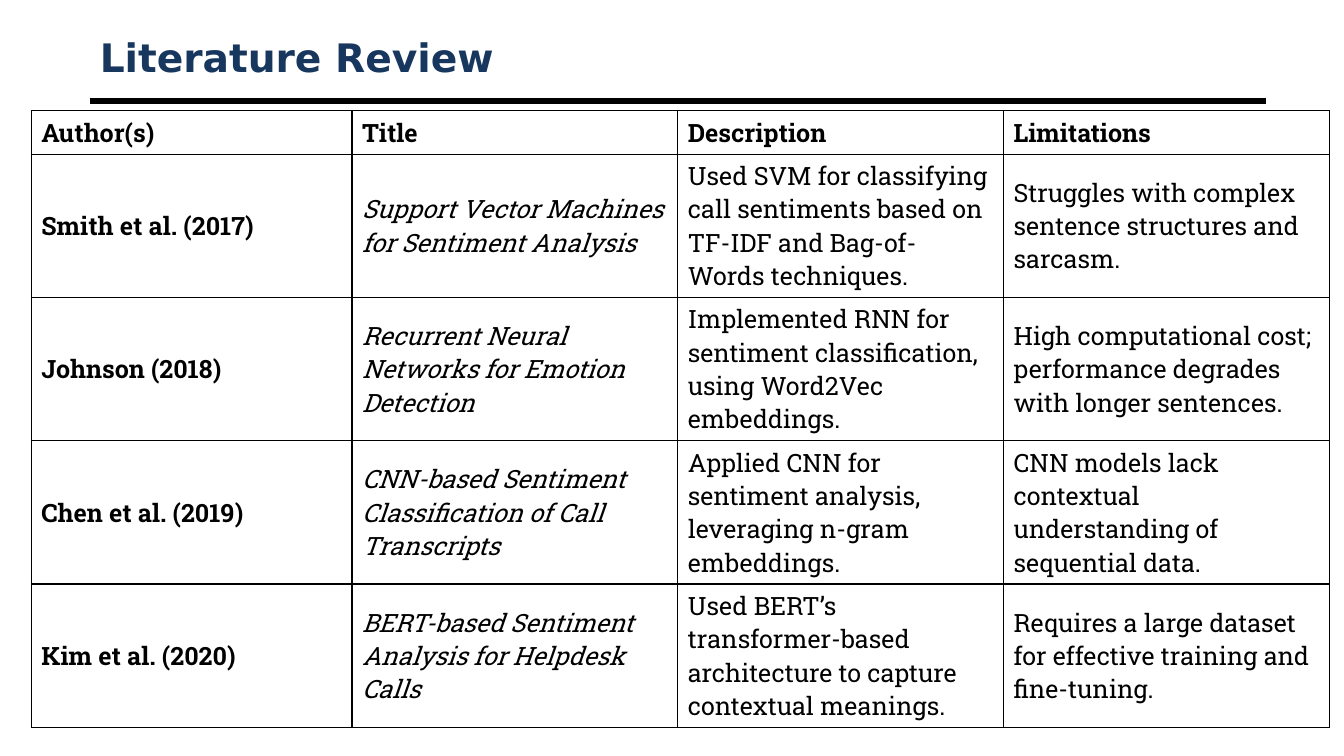
from lxml.etree import SubElement
from pptx import Presentation
from pptx.dml.color import RGBColor
from pptx.enum.shapes import MSO_CONNECTOR as Connector
from pptx.enum.text import MSO_ANCHOR as Anchor, MSO_AUTO_SIZE as AutoSize, PP_ALIGN as Align
from pptx.oxml.ns import qn
from pptx.util import Cm, Pt

NAVY = RGBColor(0x17, 0x37, 0x5E)
BLACK = RGBColor(0, 0, 0)

HEADINGS = ("Author(s)", "Title", "Description", "Limitations")
STUDIES = [
    ("Smith et al. (2017)",
     "Support Vector Machines for Sentiment Analysis",
     "Used SVM for classifying call sentiments based on TF-IDF and Bag-of-Words techniques.",
     "Struggles with complex sentence structures and sarcasm."),
    ("Johnson (2018)",
     "Recurrent Neural Networks for Emotion Detection",
     "Implemented RNN for sentiment classification, using Word2Vec embeddings.",
     "High computational cost; performance degrades with longer sentences."),
    ("Chen et al. (2019)",
     "CNN-based Sentiment Classification of Call Transcripts",
     "Applied CNN for sentiment analysis, leveraging n-gram embeddings.",
     "CNN models lack contextual understanding of sequential data."),
    ("Kim et al. (2020)",
     "BERT-based Sentiment Analysis for Helpdesk Calls",
     "Used BERT’s transformer-based architecture to capture contextual meanings.",
     "Requires a large dataset for effective training and fine-tuning."),
]
COLUMN_WIDTHS = (8.08, 8.21, 8.21, 8.21)
ROW_HEIGHTS = (1.09, 3.61, 3.61, 3.61, 3.61)


def set_font(font, name, size, color, bold=False, italic=False):
    font.name, font.size = name, Pt(size)
    font.bold, font.italic = bold, italic
    font.color.rgb = color


def outline_cell(cell):
    properties = cell._tc.get_or_add_tcPr()
    for position, side in enumerate(("a:lnL", "a:lnR", "a:lnT", "a:lnB")):
        border = SubElement(properties, qn(side), w=str(Pt(1)))
        fill = SubElement(border, qn("a:solidFill"))
        SubElement(fill, qn("a:srgbClr"), val=str(BLACK))
        properties.insert(position, border)


deck = Presentation()
deck.slide_width, deck.slide_height = Cm(33.87), Cm(19.05)
page = deck.slides.add_slide(deck.slide_layouts[5])

# Title
title = page.shapes.title
title.left, title.top, title.width, title.height = Cm(2.26), Cm(0.76), Cm(29.64), Cm(1.35)
title.text_frame.text = "Literature Review"
title.text_frame.auto_size = AutoSize.NONE
title.text_frame.vertical_anchor = Anchor.MIDDLE
para = title.text_frame.paragraphs[0]
para.alignment = Align.LEFT
set_font(para.font, "DejaVu Sans", 28, NAVY, bold=True)

# Rule under the title
rule = page.shapes.add_connector(Connector.STRAIGHT, Cm(2.26), Cm(2.54), Cm(31.9), Cm(2.54))
rule.line.color.rgb = BLACK
rule.line.width = Pt(4.5)
SubElement(rule._element.spPr, qn("a:effectLst"))

# Table of studies
rows = [HEADINGS, *STUDIES]
table = page.shapes.add_table(
    len(rows), len(HEADINGS), Cm(0.79), Cm(2.79),
    Cm(sum(COLUMN_WIDTHS)), Cm(sum(ROW_HEIGHTS))).table
for column, width in zip(table.columns, COLUMN_WIDTHS):
    column.width = Cm(width)
for row, height in zip(table.rows, ROW_HEIGHTS):
    row.height = Cm(height)

for r, texts in enumerate(rows):
    for c, text in enumerate(texts):
        cell = table.cell(r, c)
        cell.text = text
        cell.vertical_anchor = Anchor.MIDDLE
        cell.fill.background()
        outline_cell(cell)
        set_font(cell.text_frame.paragraphs[0].font, "Roboto Slab", 18, BLACK,
                 bold=r == 0 or c == 0, italic=r > 0 and c == 1)

deck.save("out.pptx")
